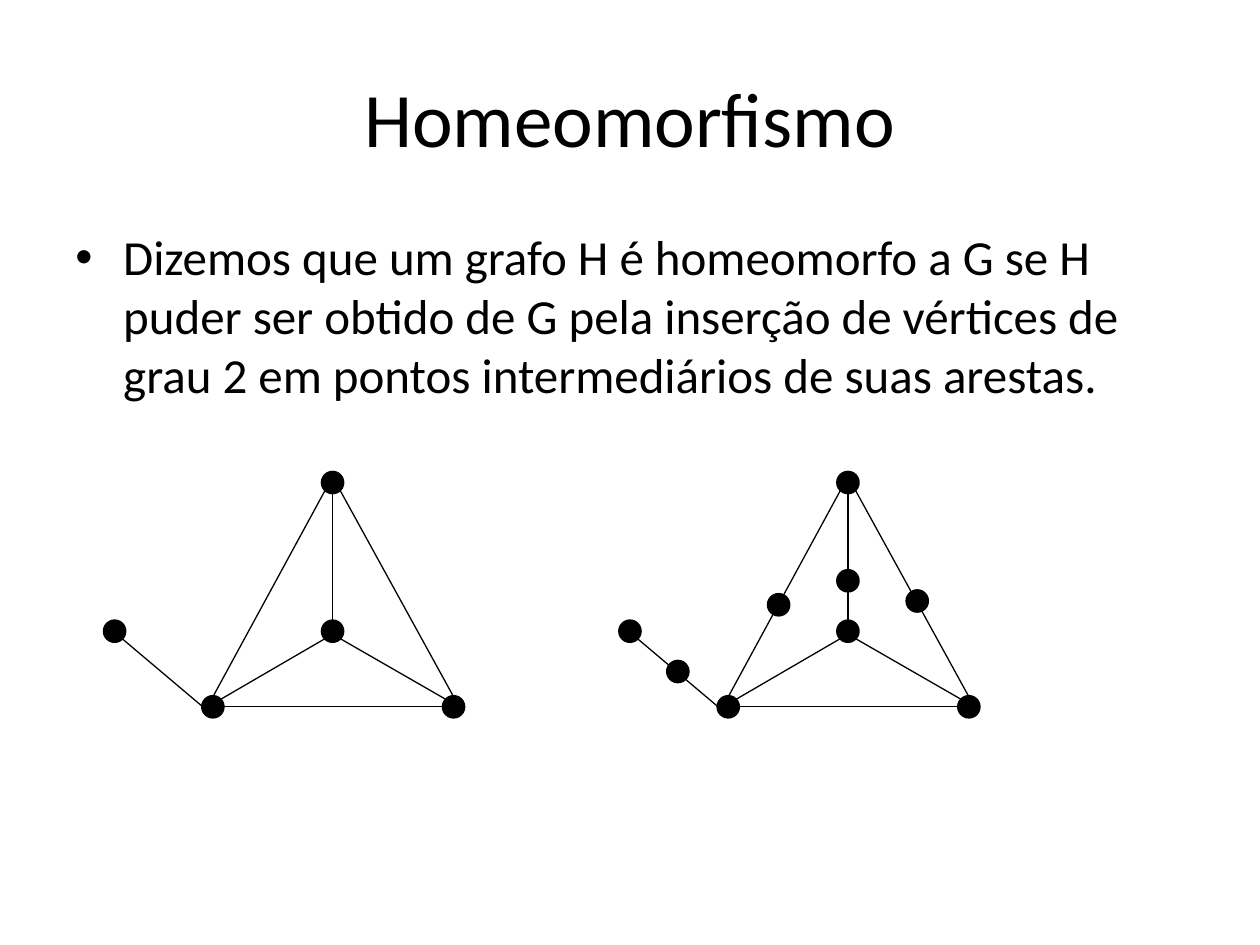
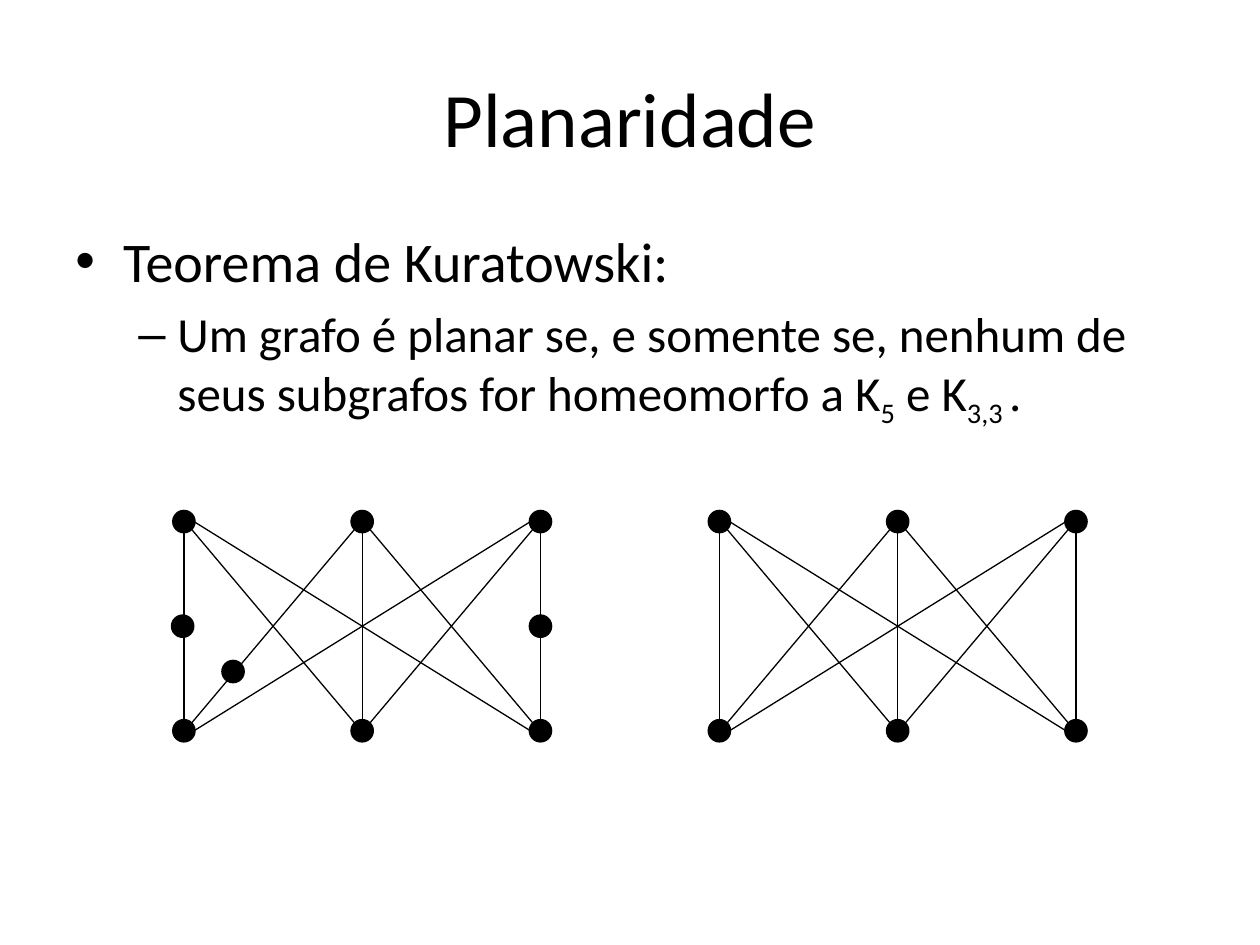
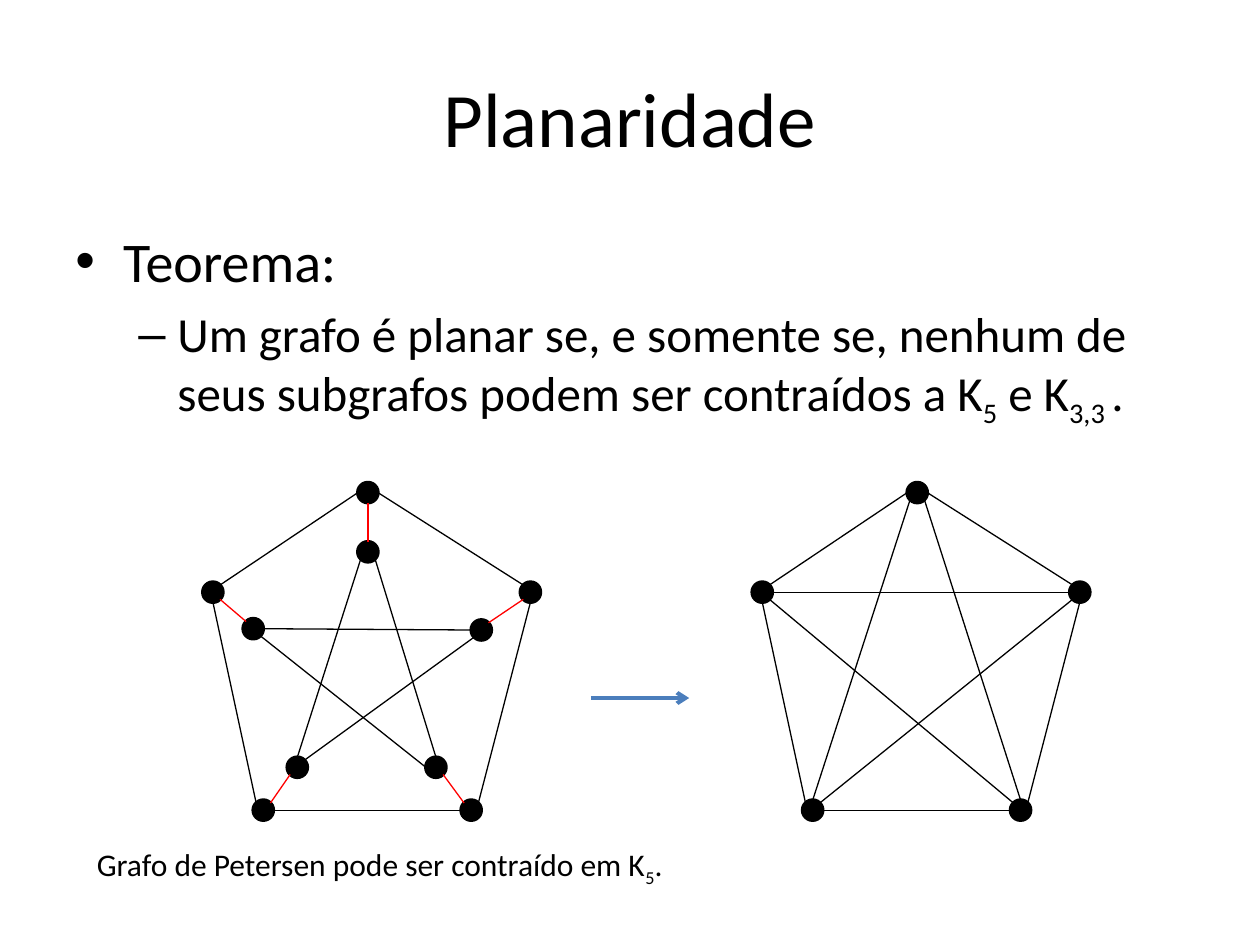
"""Build three slides on graph homeomorphism and planarity."""
from lxml.etree import SubElement
from pptx import Presentation
from pptx.dml.color import RGBColor
from pptx.enum.shapes import MSO_CONNECTOR, MSO_SHAPE
from pptx.enum.text import MSO_ANCHOR, PP_ALIGN
from pptx.oxml.ns import qn
from pptx.util import Inches, Pt

BLACK = RGBColor(0x00, 0x00, 0x00)
RED = RGBColor(0xFF, 0x00, 0x00)
BLUE = RGBColor(0x4B, 0x7E, 0xBC)
FONT = "Calibri"
RADIUS = 0.08
DIAGONAL = 0.71
SITES = {
    "N": (0, -1), "S": (0, 1), "W": (-1, 0), "E": (1, 0),
    "NW": (-DIAGONAL, -DIAGONAL), "NE": (DIAGONAL, -DIAGONAL),
    "SW": (-DIAGONAL, DIAGONAL), "SE": (DIAGONAL, DIAGONAL),
}


def add_text(tf, text, size=18, align=PP_ALIGN.LEFT, bullet=None, margin=0, hanging=0, before=0):
    """Add a paragraph in which underscores enclose subscripts."""
    p = tf.paragraphs[0] if not tf.text else tf.add_paragraph()
    p.alignment = align
    if bullet:
        pPr = p._p.get_or_add_pPr()
        pPr.set("marL", str(Inches(margin)))
        pPr.set("indent", str(-Inches(hanging)))
        SubElement(pPr, qn("a:buFont")).set("typeface", "Arial")
        SubElement(pPr, qn("a:buChar")).set("char", bullet)
    p.space_before = Pt(before)
    for i, piece in enumerate(text.split("_")):
        r = p.add_run()
        r.text = piece
        r.font.name, r.font.size = FONT, Pt(size)
        r.font.color.rgb = BLACK
        if i % 2:
            r._r.get_or_add_rPr().set("baseline", "-25000")


def add_graph(s, nodes, edges, spokes=(), dx=0):
    """Draw vertices from their centres and edges between compass points on them."""
    for x, y in nodes.values():
        sp = s.shapes.add_shape(MSO_SHAPE.OVAL, Inches(x + dx - RADIUS), Inches(y - RADIUS),
                                Inches(2 * RADIUS), Inches(2 * RADIUS))
        sp.shadow.inherit = False
        sp.fill.solid()
        sp.fill.fore_color.rgb = BLACK
        sp.line.color.rgb = BLACK
        sp.line.width = Pt(2)
    for color, group in ((BLACK, edges), (RED, spokes)):
        for start, start_site, end, end_site in group:
            points = []
            for node, site in ((start, start_site), (end, end_site)):
                for center, shift, step in zip(nodes[node], (dx, 0), SITES[site]):
                    points.append(Inches(center + shift + RADIUS * step))
            line = s.shapes.add_connector(MSO_CONNECTOR.STRAIGHT, *points)
            line.line.color.rgb = color
            line.line.width = Pt(0.75)
            SubElement(line._element.spPr, qn("a:effectLst"))


prs = Presentation()
prs.slide_width, prs.slide_height = Inches(10), Inches(7.5)

LEVEL_1 = {"bullet": "•", "margin": 0.38, "hanging": 0.38}
LEVEL_2 = {"bullet": "–", "margin": 0.81, "hanging": 0.31, "size": 28, "before": 5.6}
CONTENT = [
    ("Homeomorfismo", [
        ("Dizemos que um grafo H é homeomorfo a G se H puder ser obtido de G pela inserção "
         "de vértices de grau 2 em pontos intermediários de suas arestas.",
         {**LEVEL_1, "size": 28}),
    ]),
    ("Planaridade", [
        ("Teorema de Kuratowski:", {**LEVEL_1, "size": 32}),
        ("Um grafo é planar se, e somente se, nenhum de seus subgrafos for homeomorfo "
         "a K_5_ e K_3,3 _.", LEVEL_2),
    ]),
    ("Planaridade", [
        ("Teorema:", {**LEVEL_1, "size": 32}),
        ("Um grafo é planar se, e somente se, nenhum de seus subgrafos podem ser contraídos "
         "a K_5_ e K_3,3 _.", LEVEL_2),
    ]),
]
for title, paragraphs in CONTENT:
    s = prs.slides.add_slide(prs.slide_layouts[6])
    tf = s.shapes.add_textbox(Inches(0.5), Inches(0.3), Inches(9), Inches(1.25)).text_frame
    tf.word_wrap = True
    tf.vertical_anchor = MSO_ANCHOR.MIDDLE
    add_text(tf, title, size=44, align=PP_ALIGN.CENTER)
    tf = s.shapes.add_textbox(Inches(0.5), Inches(1.75), Inches(9), Inches(4.95)).text_frame
    tf.word_wrap = True
    for text, style in paragraphs:
        add_text(tf, text, **style)
homeomorphism, kuratowski, contraction = prs.slides

graph = {"hub": (2.64, 5.01), "apex": (2.64, 3.83), "left": (1.69, 5.61),
         "right": (3.6, 5.61), "leaf": (0.91, 5.01)}
graph_edges = [
    ("hub", "N", "apex", "S"), ("apex", "SE", "right", "N"), ("right", "W", "left", "E"),
    ("hub", "SW", "left", "NE"), ("apex", "SW", "left", "N"), ("right", "NW", "hub", "SE"),
    ("left", "W", "leaf", "SE"),
]
inserted = {"on_left": (2.09, 4.8), "on_leaf": (1.29, 5.33),
            "on_hub": (2.64, 4.61), "on_right": (3.19, 4.77)}
add_graph(homeomorphism, graph, graph_edges)
add_graph(homeomorphism, {**graph, **inserted}, graph_edges, dx=4.09)

k33 = {(row, col): (1.46 + 1.415 * col, y) for row, y in enumerate((4.14, 5.8)) for col in range(3)}
SITES_BY_STEP = {-2: ("W", "E"), -1: ("SW", "NE"), 0: ("S", "N"), 1: ("SE", "NW"), 2: ("E", "W")}
k33_edges = []
for upper in range(3):
    for lower in range(3):
        upper_site, lower_site = SITES_BY_STEP[lower - upper]
        k33_edges.append(((0, upper), upper_site, (1, lower), lower_site))
subdivisions = {"left": (1.45, 4.97), "inner": (1.85, 5.33), "right": (4.29, 4.97)}
add_graph(kuratowski, {**k33, **subdivisions}, k33_edges)
add_graph(kuratowski, k33, k33_edges, dx=4.25)

outer = {"top": (2.92, 3.91), "left": (1.69, 4.7), "right": (4.21, 4.7),
         "low_left": (2.09, 6.43), "low_right": (3.74, 6.43)}
inner = {"in_top": (2.92, 4.38), "in_left": (2.01, 4.99), "in_right": (3.82, 5),
         "in_low_left": (2.36, 6.09), "in_low_right": (3.46, 6.09)}
ring = [
    ("right", "NW", "top", "E"), ("top", "W", "left", "NE"), ("left", "S", "low_left", "NW"),
    ("right", "S", "low_right", "NE"), ("low_left", "E", "low_right", "W"),
]
star = [
    ("top", "SE", "low_right", "N"), ("top", "SW", "low_left", "N"),
    ("low_right", "W", "left", "SE"), ("left", "E", "right", "W"),
    ("right", "SW", "low_left", "NE"),
]
inner_star = [("in_" + a, site_a, "in_" + b, site_b) for a, site_a, b, site_b in star]
spokes = [
    ("top", "S", "in_top", "N"), ("right", "SW", "in_right", "NE"),
    ("left", "SE", "in_left", "NW"), ("low_right", "NW", "in_low_right", "SE"),
    ("low_left", "NE", "in_low_left", "SW"),
]
k5_star = [("low_right", "NW", "left", "SE") if edge[0] == "low_right" else edge for edge in star]
add_graph(contraction, {**outer, **inner}, ring + inner_star, spokes)
add_graph(contraction, outer, ring + k5_star, dx=4.36)

arrow = contraction.shapes.add_connector(MSO_CONNECTOR.STRAIGHT, Inches(4.69), Inches(5.54),
                                         Inches(5.47), Inches(5.54))
arrow.line.color.rgb = BLUE
arrow.line.width = Pt(2.25)
SubElement(arrow.line._get_or_add_ln(), qn("a:tailEnd")).set("type", "arrow")
SubElement(arrow._element.spPr, qn("a:effectLst"))

tf = contraction.shapes.add_textbox(Inches(0.67), Inches(6.66), Inches(4.8), Inches(0.4)).text_frame
tf.word_wrap = False
add_text(tf, "Grafo de Petersen pode ser contraído em K_5_.")

prs.save("out.pptx")
